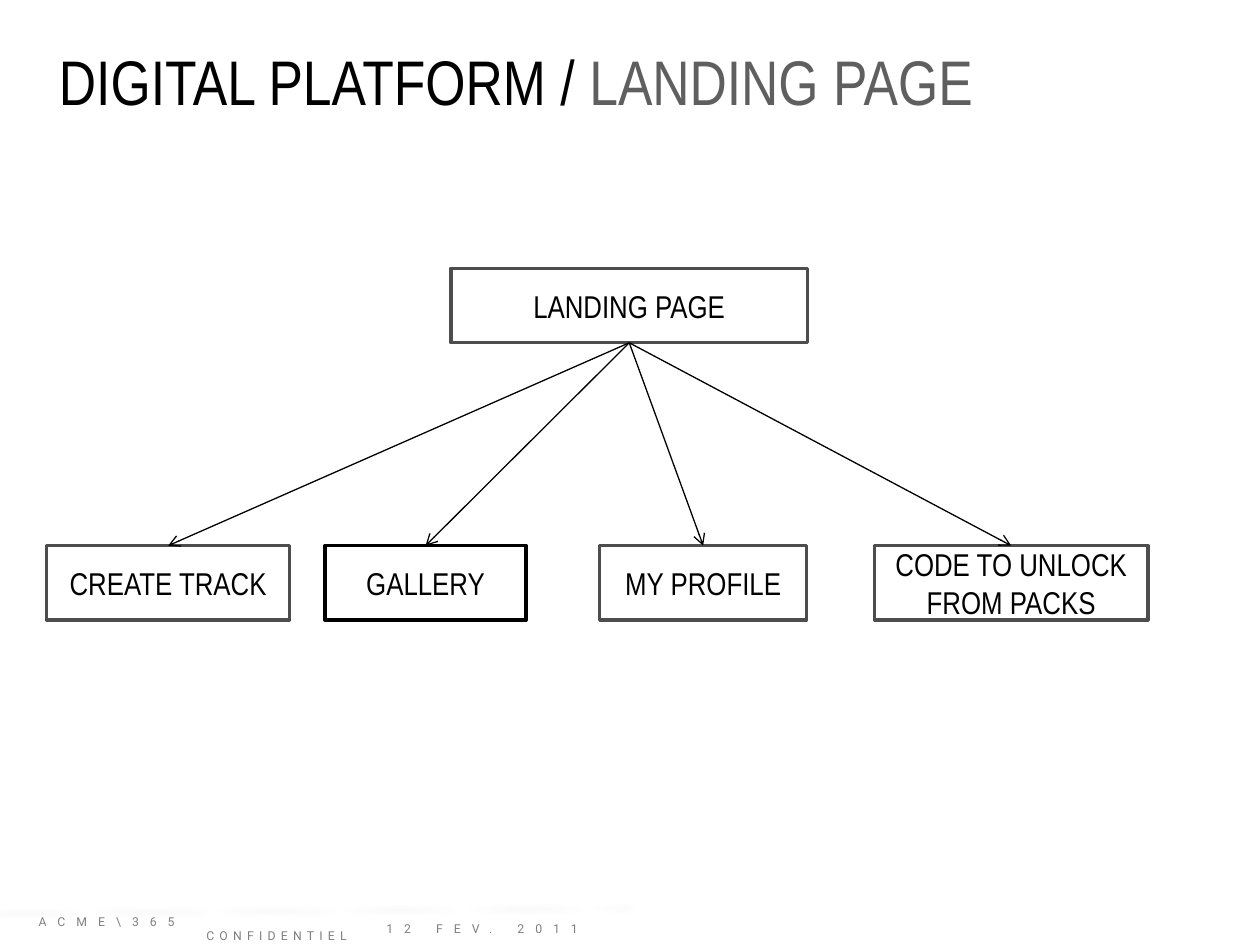
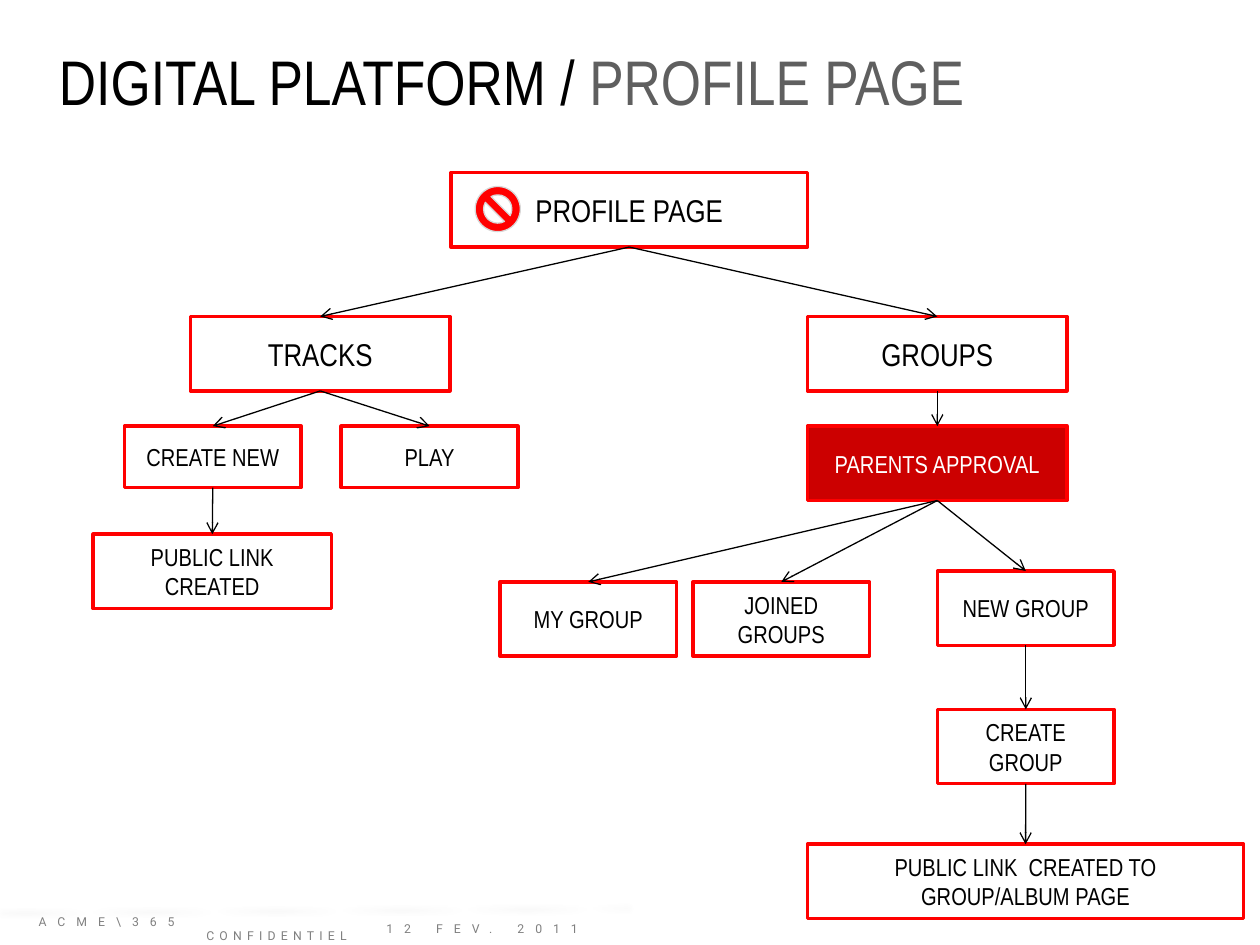
import dataclasses
import pptx
import pptx.util
import pptx.dml.color
import pptx.enum.shapes
import pptx.enum.text
import pptx.oxml
import pptx.oxml.ns

Cm, Pt = pptx.util.Cm, pptx.util.Pt
SHAPE = pptx.enum.shapes.MSO_SHAPE
ALIGN = pptx.enum.text.PP_ALIGN
ANCHOR = pptx.enum.text.MSO_ANCHOR
NS = pptx.oxml.ns.nsdecls("a")


@dataclasses.dataclass(frozen=True)
class Theme:
    black: str = "000000"
    white: str = "FFFFFF"
    grey: str = "5F5F5F"
    frame: str = "4D4D4D"
    red: str = "FF0000"
    dark_red: str = "CC0000"
    footer_grey: str = "808080"
    icon_edge: str = "D8D8D8"
    font: str = "Arial Narrow"
    footer_font: str = "Roboto"
    title: float = 36
    large: float = 18
    small: float = 14
    footer: float = 7
    outline: float = 2
    thin: float = 0.75


T = Theme()


def rgb(color):
    return pptx.dml.color.RGBColor.from_string(color)


def add_run(p, text, size=T.large, color=T.black, font=T.font, spacing=None):
    r = p.add_run()
    r.text = text
    r.font.size, r.font.name = Pt(size), font
    r.font.color.rgb = rgb(color)
    if spacing:
        r.font._element.set("spc", str(round(spacing * 100)))


def add_text_box(s, box, anchor=ANCHOR.TOP):
    tf = s.shapes.add_textbox(*map(Cm, box)).text_frame
    tf.word_wrap = True
    tf.vertical_anchor = anchor
    return tf


def add_box(s, kind, box, fill, line=None, width=T.outline):
    sp = s.shapes.add_shape(kind, *map(Cm, box))
    sp.shadow.inherit = False
    sp.fill.solid()
    sp.fill.fore_color.rgb = rgb(fill)
    if line:
        sp.line.color.rgb = rgb(line)
        sp.line.width = Pt(width)
    else:
        sp.line.fill.background()
    return sp


def add_line(s, start, end, color, width, effects=""):
    line = s.shapes.add_connector(
        pptx.enum.shapes.MSO_CONNECTOR.STRAIGHT, *map(Cm, start + end))
    line.line.color.rgb = rgb(color)
    line.line.width = Pt(width)
    line._element.spPr.append(pptx.oxml.parse_xml(
        f"<a:effectLst {NS}>{effects}</a:effectLst>"))
    return line


def add_arrow(s, parent, child):
    """Arrow from the bottom of one box to the top of another."""
    line = add_line(s, (0, 0), (0, 0), T.black, T.thin)
    line.begin_connect(parent, 2)
    line.end_connect(child, 0)
    line.line._get_or_add_ln().append(
        pptx.oxml.parse_xml(f'<a:tailEnd {NS} type="arrow"/>'))


def add_footer(s, box):
    x, y, w, h = box
    style = dict(size=T.footer, color=T.footer_grey, font=T.footer_font)

    # Hairline with a soft shadow
    line = add_line(
        s, (0, y + 0.13), (x + w, y + 0.05), T.white, 0.25,
        '<a:outerShdw blurRad="39370" dist="20320" dir="5400000">'
        '<a:srgbClr val="000000"><a:alpha val="38000"/></a:srgbClr></a:outerShdw>')
    color = line.line._get_or_add_ln().find(".//" + pptx.oxml.ns.qn("a:srgbClr"))
    color.append(pptx.oxml.parse_xml(f'<a:alpha {NS} val="46000"/>'))

    # Agency, then the indented confidentiality mark
    tf = add_text_box(s, box, ANCHOR.MIDDLE)
    add_run(tf.paragraphs[0], "ACME\\365", spacing=6.3, **style)
    p = tf.add_paragraph()
    p._p.get_or_add_pPr().set("marL", str(Cm(3.38)))
    add_run(p, "CONFIDENTIEL", spacing=3, **style)

    # Date
    tf = add_text_box(s, (x + w - 5.61, y, 5.61, h), ANCHOR.MIDDLE)
    tf.margin_right = Cm(1.05)
    p = tf.paragraphs[0]
    p.alignment = ALIGN.RIGHT
    add_run(p, "12 FEV. 2011", spacing=6.3, **style)


def add_title(s, box, section):
    p = add_text_box(s, box).paragraphs[0]
    add_run(p, "DIGITAL PLATFORM / ", size=T.title)
    add_run(p, section, size=T.title, color=T.grey)


def add_page(prs, section):
    s = prs.slides.add_slide(prs.slide_layouts[6])
    s.background.fill.solid()
    s.background.fill.fore_color.rgb = rgb(T.black)
    add_box(s, SHAPE.RECTANGLE, (0, 0, 25.4, 19.05), T.white)
    add_footer(s, (0.53, 18.21, 12.17, 1.02))
    add_title(s, (0.94, 0.74, 23.19, 1.8), section)
    return s


def add_node(s, box, text, size=T.large, line=T.red, fill=T.white, color=T.black):
    sp = add_box(s, SHAPE.RECTANGLE, box, fill, line)
    tf = sp.text_frame
    tf.word_wrap = True
    tf.vertical_anchor = ANCHOR.MIDDLE
    p = tf.paragraphs[0]
    p.alignment = ALIGN.CENTER
    add_run(p, text, size=size, color=color)
    return sp


def add_tree(s, origin, nodes, node_height=1.5, **common):
    """Nodes are (text, parent, left, top, width, format), from the root down."""
    x, y = origin
    placed = {}
    for text, parent, left, top, width, style in nodes:
        style = {**common, **style}
        height = style.pop("height", node_height)
        placed[text] = add_node(
            s, (x + left, y + top, width, height), text, **style)
        if parent:
            add_arrow(s, placed[parent], placed[text])


def add_stop_sign(s, box):
    add_box(s, SHAPE.NO_SYMBOL, box, T.red, T.icon_edge, T.thin)


prs = pptx.Presentation()
prs.slide_width, prs.slide_height = Cm(25.4), Cm(19.05)

# Landing page: one root and a row of four
s = add_page(prs, "LANDING PAGE")
root, row = "LANDING PAGE", 5.59
add_tree(s, (0.94, 5.41), [
    (root, None, 8.15, 0, 7.19, {}),
    ("CREATE TRACK", root, 0, row, 4.9, {}),
    ("GALLERY", root, 5.61, row, 4.06, {"line": T.black}),
    ("MY PROFILE", root, 11.15, row, 4.17, {}),
    ("CODE TO UNLOCK FROM PACKS", root, 16.69, row, 5.51, {}),
], line=T.frame)

# Profile page: tracks on the left, groups on the right
s = add_page(prs, "PROFILE PAGE")
root, approval = "PROFILE PAGE", "PARENTS APPROVAL"
large, short = {"size": T.large}, {"height": 1.24}
wide, narrow = 5.23, 3.56
right, last = 14.4, 17.02
x, y = 1.88, 3.48
add_tree(s, (x, y), [
    (root, None, 7.21, 0, 7.19, large),
    ("TRACKS", root, 1.96, 2.9, wide, large),
    ("CREATE NEW", "TRACKS", 0.63, 5.11, narrow, short),
    ("PLAY", "TRACKS", 5, 5.11, narrow, short),
    ("PUBLIC LINK CREATED", "CREATE NEW", 0, 7.29, 4.8, {}),
    ("GROUPS", root, right, 2.9, wide, large),
    (approval, "GROUPS", right, 5.11, wide,
     {"fill": T.dark_red, "color": T.white}),
    ("MY GROUP", approval, 8.2, 8.25, narrow, {}),
    ("JOINED GROUPS", approval, 12.09, 8.25, narrow, {}),
    ("NEW GROUP", approval, last, 8.03, narrow, {}),
    ("CREATE GROUP", "NEW GROUP", last, 10.82, narrow, {}),
    ("PUBLIC LINK  CREATED TO GROUP/ALBUM PAGE", "CREATE GROUP",
     right, 13.54, 8.79, {}),
], size=T.small)
add_stop_sign(s, (x + 7.7, y + 0.28, 0.91, 0.91))

prs.save("out.pptx")
